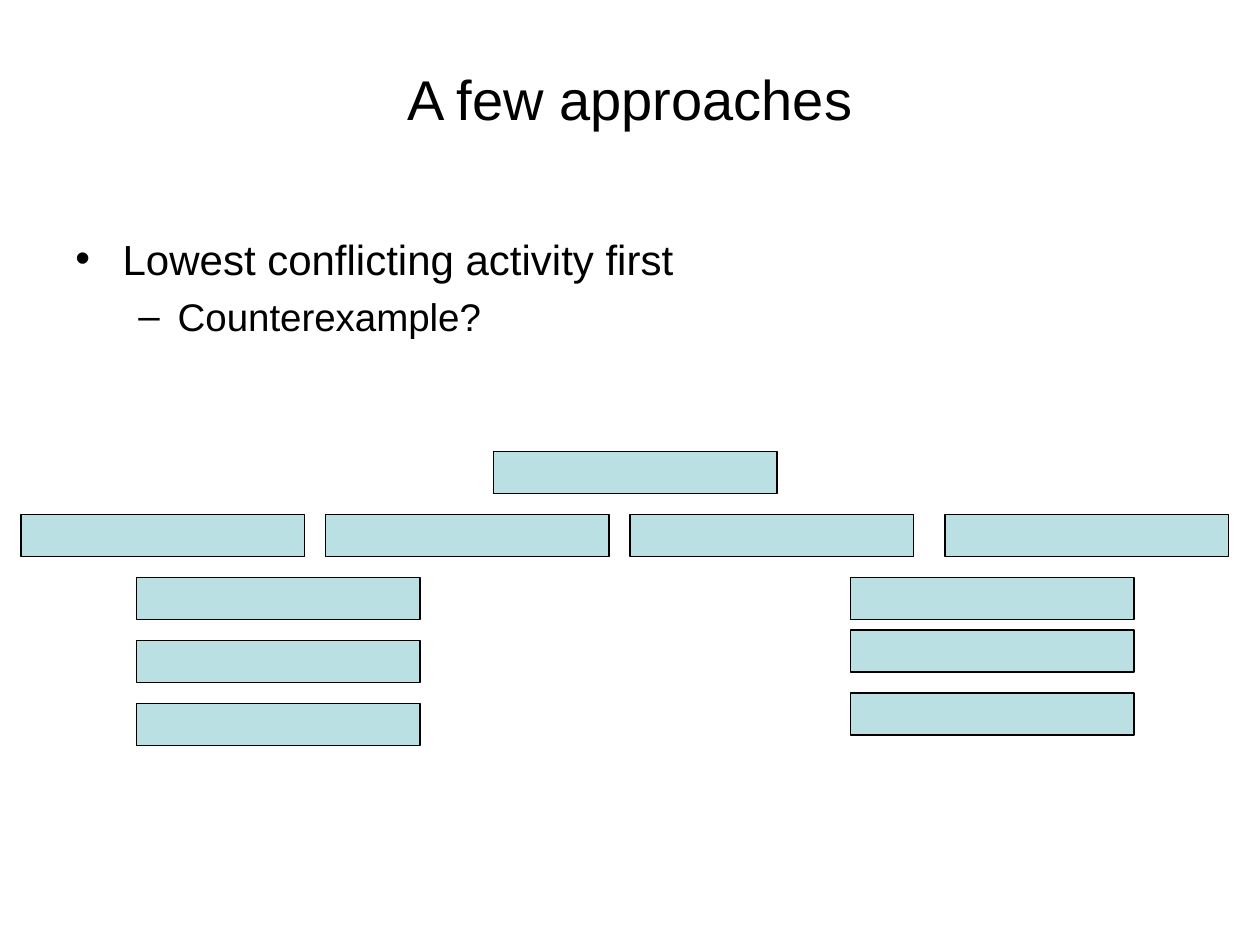
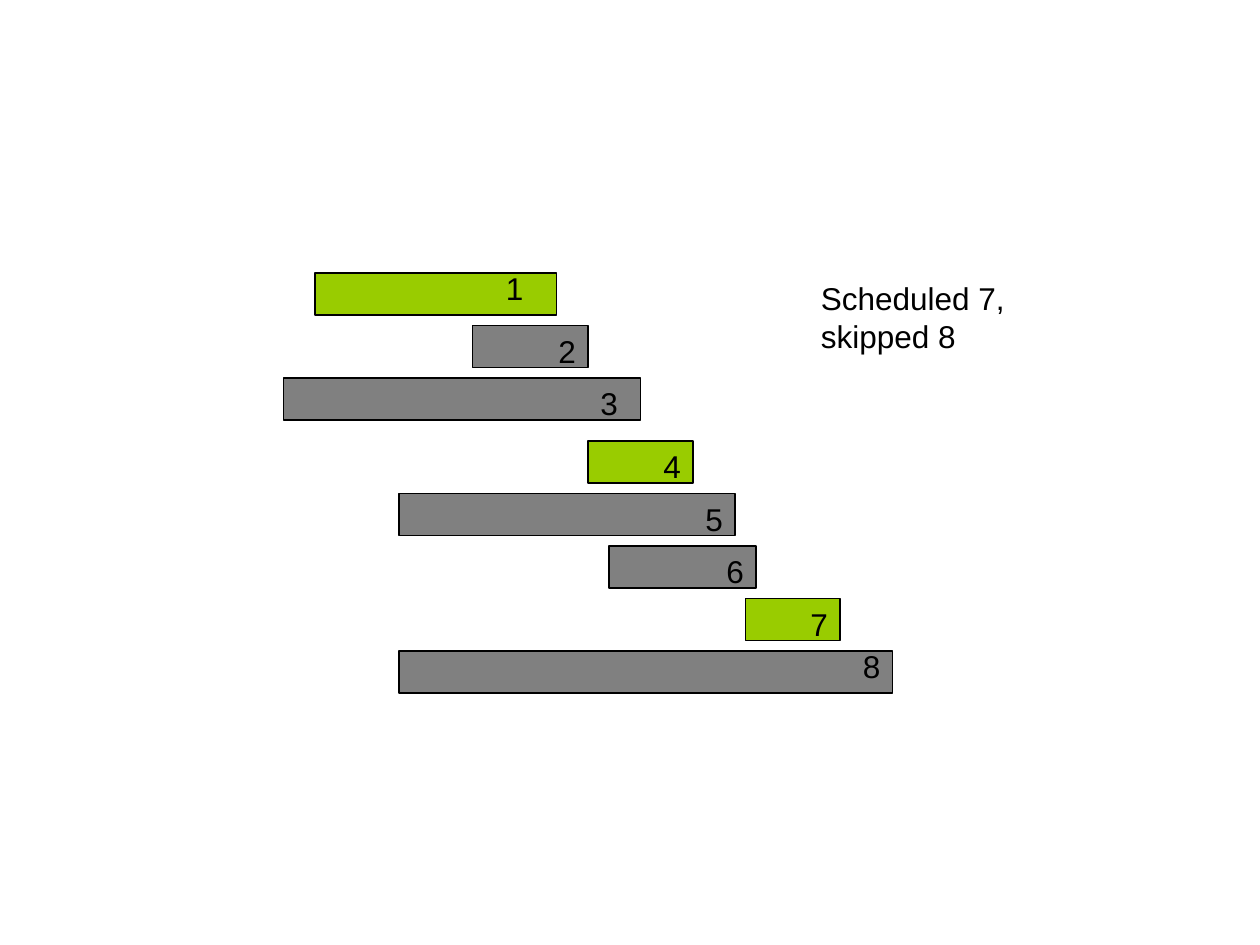
"""Build two slides on activity scheduling: a counterexample and a worked schedule."""
from lxml import etree
from pptx import Presentation
from pptx.dml.color import RGBColor
from pptx.enum.shapes import MSO_SHAPE
from pptx.enum.text import MSO_ANCHOR, PP_ALIGN
from pptx.oxml.ns import qn
from pptx.util import Pt

RECTANGLE = MSO_SHAPE.RECTANGLE
TOP, MIDDLE = MSO_ANCHOR.TOP, MSO_ANCHOR.MIDDLE
LEFT, CENTER = PP_ALIGN.LEFT, PP_ALIGN.CENTER

FONT = "Arial"
COLORS = {"ink": "000000", "activity": "BBE0E3", "scheduled": "99CC00", "skipped": "808080"}
BAR_HEIGHT = 24
LABEL_HEIGHT = 28.8

TITLE = "A few approaches"
BULLETS = [
    {"text": "Lowest conflicting activity first", "size": 24, "mark": "•",
     "margin": 27, "hang": 27, "before": 6},
    {"text": "Counterexample?", "size": 22, "mark": "–",
     "margin": 58.5, "hang": 22.5, "before": 5.5},
]

CONFLICT_WIDTH = 162
CONFLICT_COLUMNS = [
    (282, [258]),
    (12, [294]), (186, [294]), (360, [294]), (540, [294]),
    (78, [330, 366, 402]),
    (486, [330, 360, 396]),
]

SCHEDULE = [
    ("scheduled", (180, 156, 138), (282, 150, 42)),
    ("skipped", (270, 186, 66), (312, 186, 30)),
    ("skipped", (162, 216, 204), (336, 216, 36)),
    ("scheduled", (336, 252, 60), (372, 252, 24)),
    ("skipped", (228, 282, 192), (396, 282, 30)),
    ("skipped", (348, 312, 84), (408, 312, 30)),
    ("scheduled", (426, 342, 54), (456, 342, 18)),
    ("skipped", (228, 372, 282), (486, 366, 30)),
]
SUMMARY = "Scheduled 7, skipped 8"


def color(name):
    return RGBColor.from_string(COLORS[name])


def add_bar(shapes, left, top, width, fill):
    bar = shapes.add_shape(RECTANGLE, Pt(left), Pt(top), Pt(width), Pt(BAR_HEIGHT))
    bar.shadow.inherit = False
    bar.fill.solid()
    bar.fill.fore_color.rgb = color(fill)
    bar.line.color.rgb = color("ink")
    bar.line.width = Pt(0.74)


def add_frame(page, left, top, width, height, anchor=TOP, inset_top=3.6):
    frame = page.shapes.add_textbox(Pt(left), Pt(top), Pt(width), Pt(height)).text_frame
    values = {"word_wrap": True, "vertical_anchor": anchor, "margin_top": Pt(inset_top),
              "margin_bottom": Pt(3.6), "margin_left": Pt(7.2), "margin_right": Pt(7.2)}
    for name, value in values.items():
        setattr(frame, name, value)
    return frame


def write(para, text, size, align=LEFT):
    para.alignment = align
    span = para.add_run()
    span.text = text
    for name, value in {"name": FONT, "size": Pt(size)}.items():
        setattr(span.font, name, value)
    span.font.color.rgb = color("ink")


def add_bullet(para, bullet):
    write(para, bullet["text"], bullet["size"])
    para.space_before = Pt(bullet["before"])
    properties = para._p.get_or_add_pPr()
    properties.set("marL", str(Pt(bullet["margin"])))
    properties.set("indent", str(-Pt(bullet["hang"])))
    etree.SubElement(properties, qn("a:buFont")).set("typeface", FONT)
    etree.SubElement(properties, qn("a:buChar")).set("char", bullet["mark"])


def build_counterexample(page):
    title = add_frame(page, 36, 21.6, 648, 68.4, MIDDLE)
    write(title.paragraphs[0], TITLE, 32, CENTER)
    body = add_frame(page, 36, 96, 648, 414, inset_top=37.2)
    for index, bullet in enumerate(BULLETS):
        para = body.add_paragraph() if index else body.paragraphs[0]
        add_bullet(para, bullet)
    group = page.shapes.add_group_shape()
    for left, tops in CONFLICT_COLUMNS:
        for top in tops:
            add_bar(group.shapes, left, top, CONFLICT_WIDTH, "activity")


def build_schedule(page):
    for state, bar, _ in SCHEDULE:
        add_bar(page.shapes, *bar, state)
    for number, (_, _, label) in enumerate(SCHEDULE, 1):
        write(add_frame(page, *label, LABEL_HEIGHT).paragraphs[0], str(number), 18)
    write(add_frame(page, 462, 156, 150, 50.4).paragraphs[0], SUMMARY, 18)


deck = Presentation()
deck.slide_width, deck.slide_height = Pt(720), Pt(540)
for build in (build_counterexample, build_schedule):
    build(deck.slides.add_slide(deck.slide_layouts[6]))
deck.save("out.pptx")
